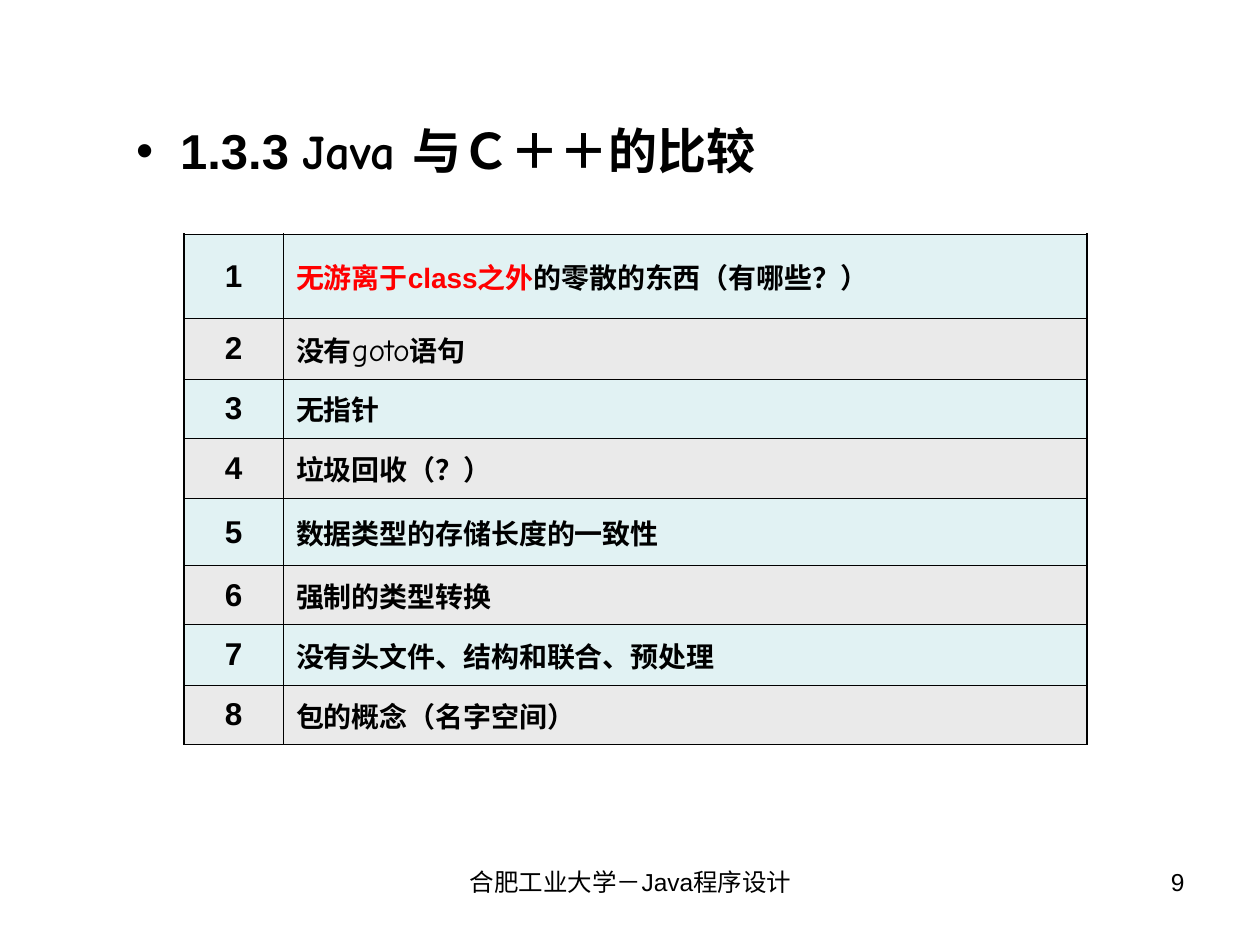
from pptx import Presentation
from pptx.dml.color import RGBColor
from pptx.enum.text import MSO_ANCHOR as Anchor, MSO_AUTO_SIZE as AutoSize, PP_ALIGN as Align
from pptx.oxml import parse_xml
from pptx.oxml.ns import nsdecls
from pptx.util import Inches, Pt

THEME = {
    "font": "Arial", "code_font": "Comic Neue",
    "ink": "000000", "accent": "FF0000", "bands": ("E1F2F3", "EAEAEA"),
    "title": 28, "number": 18, "body": 16, "footer": 14,
    "outer_line": 1.08, "inner_line": 0.45,
}

# Each span is (text, style), where the style names an entry in STYLES.
STYLES = {
    "strong": {"bold": True},
    "accent": {"bold": True, "color": THEME["accent"]},
    "title_code": {"bold": True, "name": THEME["code_font"]},
    "code": {"bold": False, "name": THEME["code_font"], "size": THEME["number"]},
}
TITLE = [("1.3.3 ", "strong"), ("Java ", "title_code"), ("与Ｃ＋＋的比较", "strong")]
POINTS = [
    [("无游离于class之外", "accent"), ("的零散的东西（有哪些？）", "strong")],
    [("没有", "strong"), ("goto", "code"), ("语句", "strong")],
    [("无指针", "strong")],
    [("垃圾回收（？）", "strong")],
    [("数据类型的存储长度的一致性", "strong")],
    [("强制的类型转换", "strong")],
    [("没有头文件、结构和联合、预处理", "strong")],
    [("包的概念（名字空间）", "strong")],
]
FOOTERS = [
    ("合肥工业大学－Java程序设计", 3.42, 3.17, Align.CENTER),
    ("9", 7.17, 2.33, Align.RIGHT),
]
TABLE_LEFT, TABLE_TOP = 1.46, 1.86
COLUMNS = (0.79, 6.38)
ROWS = (0.67, 0.48, 0.47, 0.48, 0.53, 0.47, 0.48, 0.47)


def set_font(font, size, name=THEME["font"], color=THEME["ink"], bold=False):
    font.size, font.name, font.bold = Pt(size), name, bold
    font.color.rgb = RGBColor.from_string(color)


def write(para, spans, size):
    for text, style in spans:
        span = para.add_run()
        span.text = text
        set_font(span.font, **{"size": size, **STYLES[style]})


def add_bullet(para, indent):
    props = para._p.get_or_add_pPr()
    props.set("marL", str(Inches(indent)))
    props.set("indent", str(-Inches(indent)))
    props.append(parse_xml(f'<a:buFont {nsdecls("a")} typeface="{THEME["font"]}"/>'))
    props.append(parse_xml(f'<a:buChar {nsdecls("a")} char="•"/>'))


def add_title(page):
    box = page.shapes.title
    box.left, box.top, box.width, box.height = map(Inches, (0.98, 0.91, 5.75, 0.57))
    frame = box.text_frame
    frame.word_wrap = True
    frame.auto_size = AutoSize.SHAPE_TO_FIT_TEXT
    frame.vertical_anchor = Anchor.TOP
    para = frame.paragraphs[0]
    para.alignment = Align.LEFT
    add_bullet(para, 0.35)
    write(para, TITLE, THEME["title"])


def set_borders(cell, row, column):
    """Draw heavier lines on the sides that lie on the table's edge."""
    on_edge = {
        "lnL": column == 0, "lnR": column == len(COLUMNS) - 1,
        "lnT": row == 0, "lnB": row == len(ROWS) - 1,
    }
    props = cell._tc.get_or_add_tcPr()
    for place, (tag, outer) in enumerate(on_edge.items()):
        width = Pt(THEME["outer_line" if outer else "inner_line"])
        props.insert(place, parse_xml(
            f'<a:{tag} {nsdecls("a")} w="{width}"><a:solidFill>'
            f'<a:srgbClr val="{THEME["ink"]}"/></a:solidFill></a:{tag}>'))


def add_comparison(page):
    table = page.shapes.add_table(
        len(ROWS), len(COLUMNS), Inches(TABLE_LEFT), Inches(TABLE_TOP),
        Inches(sum(COLUMNS)), Inches(sum(ROWS))).table
    for column, width in zip(table.columns, COLUMNS):
        column.width = Inches(width)
    for row, (height, point) in enumerate(zip(ROWS, POINTS)):
        table.rows[row].height = Inches(height)
        contents = [
            ([(str(row + 1), "strong")], THEME["number"], Align.CENTER, 4.5),
            (point, THEME["body"], Align.LEFT, 4),
        ]
        for column, (spans, size, align, space) in enumerate(contents):
            cell = table.cell(row, column)
            cell.vertical_anchor = Anchor.MIDDLE
            cell.fill.solid()
            cell.fill.fore_color.rgb = RGBColor.from_string(THEME["bands"][row % 2])
            set_borders(cell, row, column)
            para = cell.text_frame.paragraphs[0]
            para.alignment, para.space_before = align, Pt(space)
            write(para, spans, size)


def add_footers(page):
    for text, left, width, align in FOOTERS:
        box = page.shapes.add_textbox(*map(Inches, (left, 6.83, width, 0.52)))
        box.text_frame.word_wrap = True
        para = box.text_frame.paragraphs[0]
        para.text, para.alignment = text, align
        set_font(para.font, THEME["footer"])


def main():
    deck = Presentation()
    deck.slide_width, deck.slide_height = Inches(10), Inches(7.5)
    page = deck.slides.add_slide(deck.slide_layouts.get_by_name("Title Only"))
    add_footers(page)
    add_title(page)
    add_comparison(page)
    deck.save("out.pptx")


if __name__ == "__main__":
    main()
